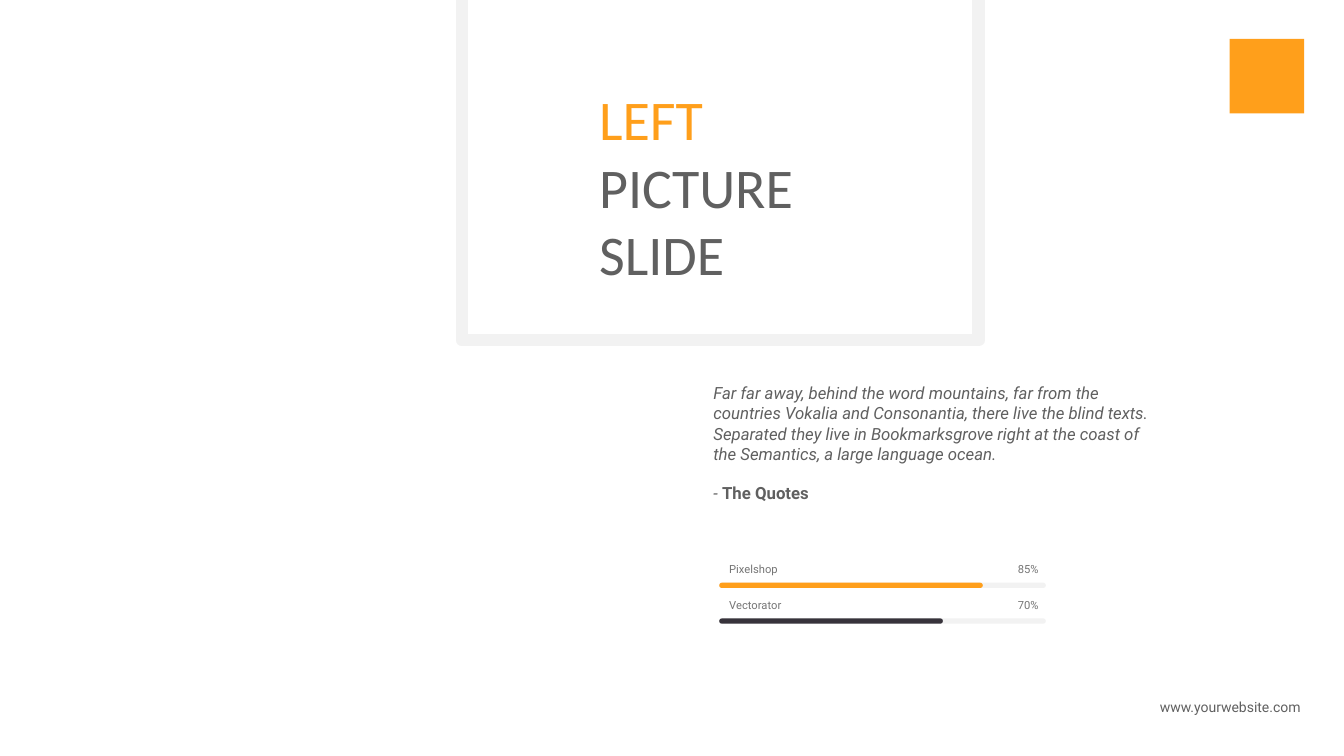
from pptx import Presentation
from pptx.dml.color import RGBColor
from pptx.enum.shapes import MSO_SHAPE as Shape
from pptx.enum.text import MSO_ANCHOR as Anchor, MSO_AUTO_SIZE as AutoSize, PP_ALIGN as Align
from pptx.util import Emu, Pt

EMU_PER_PX = 9525
TITLE_ONLY_LAYOUT = 5

ORANGE = "FF9F1B"
DARK = "37333B"
GREY = "606060"
LABEL_GREY = "757575"
PALE = "F2F2F2"

SKILLS = [  # name, share, width of the filled part, colour
    ("Pixelshop", "85%", 251, ORANGE),
    ("Vectorator", "70%", 213, DARK),
]
SKILL_LEFT, SKILL_TOP, SKILL_PITCH = 685, 531, 34
TRACK_WIDTH, TRACK_HEIGHT = 311, 5

QUOTE = (
    "Far far away, behind the word mountains, far from the countries Vokalia "
    "and Consonantia, there live the blind texts. Separated they live in "
    "Bookmarksgrove right at the coast of the Semantics, a large language ocean."
)


def px(length):
    return Emu(length * EMU_PER_PX)


def rgb(color):
    return RGBColor.from_string(color)


def add_run(paragraph, text, size, color, font="Roboto", bold=False, italic=False):
    run = paragraph.add_run()
    run.text = text
    run.font.name = font
    run.font.size = Pt(size)
    run.font.bold = bold
    run.font.italic = italic
    run.font.color.rgb = rgb(color)


def add_text(slide, text, left, top, width, height, align=Align.LEFT, **run_format):
    """Add a wrapping text box with one paragraph and return its text frame."""
    box = slide.shapes.add_textbox(px(left), px(top), px(width), px(height))
    frame = box.text_frame
    frame.word_wrap = True
    paragraph = frame.paragraphs[0]
    paragraph.alignment = align
    add_run(paragraph, text, **run_format)
    return frame


def add_box(slide, left, top, width, height, fill=None, line=None, line_width=0,
            kind=Shape.RECTANGLE):
    shape = slide.shapes.add_shape(kind, px(left), px(top), px(width), px(height))
    shape.shadow.inherit = False
    if fill:
        shape.fill.solid()
        shape.fill.fore_color.rgb = rgb(fill)
    else:
        shape.fill.background()
    if line:
        shape.line.color.rgb = rgb(line)
        shape.line.width = Pt(line_width)
    else:
        shape.line.fill.background()
    return shape


def set_title(slide, lines):
    title = slide.shapes.title
    title.left, title.top, title.width, title.height = px(561), px(76), px(249), px(204)
    frame = title.text_frame
    frame.word_wrap = True
    frame.auto_size = AutoSize.NONE
    frame.vertical_anchor = Anchor.TOP
    for index, (text, color) in enumerate(lines):
        paragraph = frame.add_paragraph() if index else frame.paragraphs[0]
        paragraph.alignment = Align.LEFT
        paragraph.line_spacing = 1.0
        paragraph.space_before = Pt(0)
        add_run(paragraph, text, 40, color, font="Calibri")


def add_bar(slide, top, width, color):
    bar = add_box(slide, SKILL_LEFT, top, width, TRACK_HEIGHT, fill=color,
                  kind=Shape.ROUNDED_RECTANGLE)
    bar.adjustments[0] = 0.5


def add_skill(slide, top, name, share, filled_width, color):
    add_text(slide, name, SKILL_LEFT, top, 120, 23, size=8, color=LABEL_GREY)
    add_text(slide, share, 960, top, 48, 23, size=8, color=LABEL_GREY)
    for width, bar_color in ((TRACK_WIDTH, PALE), (filled_width, color)):
        add_bar(slide, top + 24, width, bar_color)


def add_quote(slide):
    frame = add_text(slide, QUOTE, 670, 360, 434, 126, size=12, color=GREY, italic=True)
    source = frame.add_paragraph()
    source.space_before = Pt(14)
    add_run(source, "- ", 12, GREY, italic=True)
    add_run(source, "The Quotes", 12, GREY, bold=True)


def main():
    presentation = Presentation()
    presentation.slide_width, presentation.slide_height = px(1280), px(720)
    slide = presentation.slides.add_slide(presentation.slide_layouts[TITLE_ONLY_LAYOUT])

    set_title(slide, [("LEFT", ORANGE), ("PICTURE", GREY), ("SLIDE", GREY)])
    add_box(slide, 440, -38, 492, 362, line=PALE, line_width=9)
    add_box(slide, 1171, 37, 71, 71, fill=ORANGE)
    add_quote(slide)
    for row, skill in enumerate(SKILLS):
        add_skill(slide, SKILL_TOP + row * SKILL_PITCH, *skill)
    add_text(slide, "www.yourwebsite.com", 1072, 661, 176, 26, align=Align.RIGHT,
             size=10, color=GREY)

    presentation.save("out.pptx")


if __name__ == "__main__":
    main()
